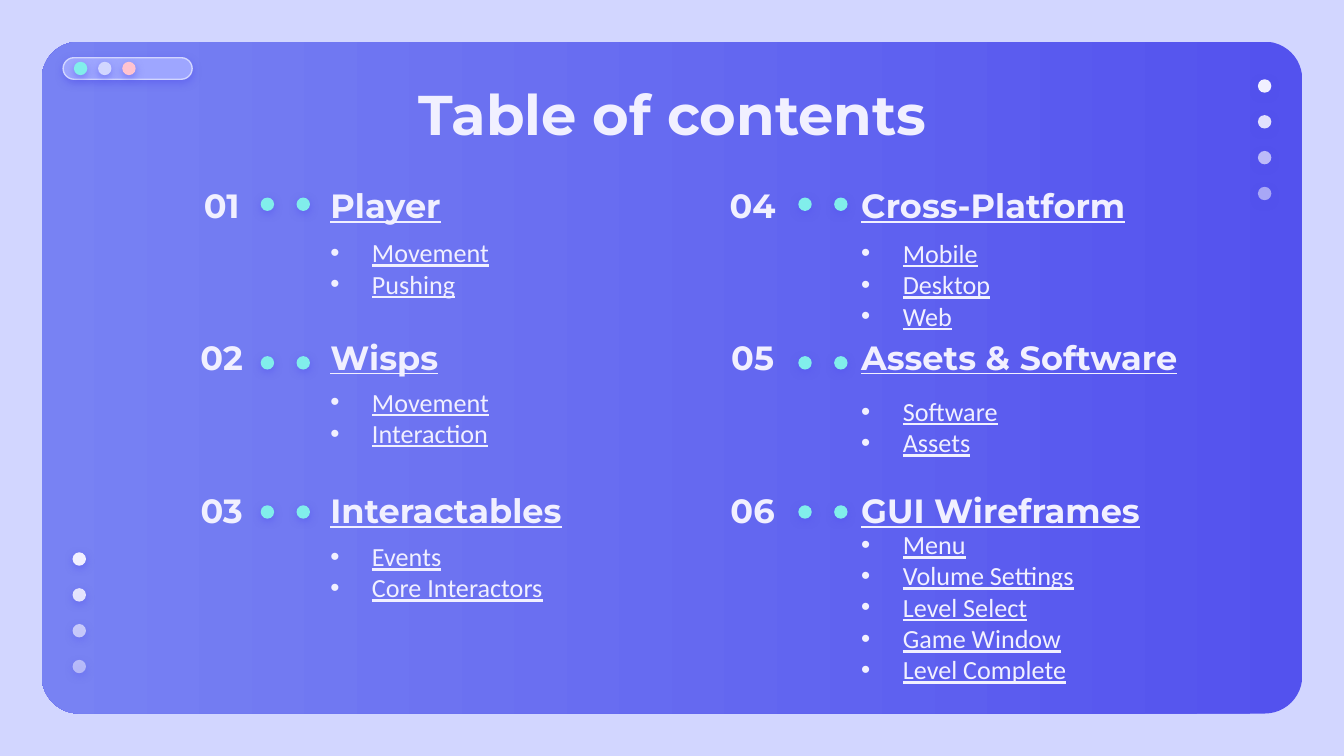
from lxml.etree import SubElement
from pptx import Presentation
from pptx.dml.color import RGBColor
from pptx.enum.shapes import MSO_SHAPE
from pptx.enum.text import MSO_ANCHOR, MSO_AUTO_SIZE, PP_ALIGN
from pptx.oxml.ns import qn
from pptx.util import Inches, Pt

HEX = {"back": "D2D6FF", "deep": "5352EE", "soft": "7882F3", "bar": "9EA6FF",
       "text": "F1F0FF", "mint": "81EEEB", "pink": "FFC3D0"}

# Column: left of number, first dot, heading; then its parts
COLS = [
    (1.17, 1.94, 2.36, [
        ("01", "Player", 1.73, ["Movement", "Pushing"]),
        ("02", "Wisps", 2.84, ["Movement", "Interaction"]),
        ("03", "Interactables", 3.99, ["Events", "Core Interactors"]),
    ]),
    (5.12, 5.94, 6.31, [
        ("04", "Cross-Platform", 1.85, ["Mobile", "Desktop", "Web"]),
        ("05", "Assets & Software", 2.91, ["Software", "Assets"]),
        ("06", "GUI Wireframes", 4.25,
         ["Menu", "Volume Settings", "Level Select", "Game Window",
          "Level Complete"]),
    ]),
]
ROWS = [(1.39, 1.47), (2.52, 2.65), (3.66, 3.76)]  # heading top, dot top
FADE = [100, 90, 67, 54]
DOT, STEP = 0.1, 0.8 / 3


def color(name):
    return RGBColor.from_string(HEX[name])


class Deck:
    head, body = "Montserrat", "Calibri"

    def __init__(self):
        self.prs = Presentation()
        self.prs.slide_width = Inches(10)
        self.prs.slide_height = Inches(10 * 9 / 16)
        self.slide = self.prs.slides.add_slide(self.prs.slide_layouts[5])
        fill = self.slide.background.fill
        fill.solid()
        fill.fore_color.rgb = color("back")

    def shape(self, kind, box, fill, line=None, alpha=100, glow=True):
        item = self.slide.shapes.add_shape(kind, *map(Inches, box))
        item.shadow.inherit = False
        item.fill.solid()
        item.fill.fore_color.rgb = color(fill)
        if alpha < 100:
            tint = item.fill._xPr.find(qn("a:solidFill"))[0]
            SubElement(tint, qn("a:alpha"), val=str(alpha * 1000))
        if line:
            item.line.color.rgb = color(line)
            item.line.width = Pt(0.75)
        else:
            item.line.fill.background()
        if glow:
            group = item._element.spPr.find(qn("a:effectLst"))
            shade = SubElement(group, qn("a:outerShdw"), blurRad=str(Pt(4.5)),
                               dist=str(Pt(1.5)), dir="5400000",
                               algn="bl", rotWithShape="0")
            tone = SubElement(shade, qn("a:srgbClr"), val=HEX["deep"])
            SubElement(tone, qn("a:alpha"), val="50000")
        return item

    def dot(self, left, top, fill, alpha=100):
        self.shape(MSO_SHAPE.OVAL, (left, top, DOT, DOT), fill, alpha=alpha)

    def frame(self, item, anchor):
        frame = item.text_frame
        frame.word_wrap = True
        frame.auto_size = MSO_AUTO_SIZE.NONE
        frame.vertical_anchor = anchor
        frame.margin_left = frame.margin_right = Inches(0.1)
        frame.margin_top = frame.margin_bottom = Inches(0.1)
        return frame

    def run(self, para, text, size, font, bold=False, under=False):
        run = para.add_run()
        run.text = text
        run.font.size, run.font.name = Pt(size), font
        run.font.bold, run.font.underline = bold, under
        run.font.color.rgb = color("text")

    def title(self, text, box):
        item = self.slide.shapes.title
        item.left, item.top, item.width, item.height = map(Inches, box)
        self.slide.shapes._spTree.append(item._element)  # bring to front
        para = self.frame(item, MSO_ANCHOR.TOP).paragraphs[0]
        para.alignment = PP_ALIGN.CENTER
        self.run(para, text, 30, self.head, bold=True)

    def label(self, text, box, align=PP_ALIGN.LEFT, under=False):
        item = self.slide.shapes.add_textbox(*map(Inches, box))
        para = self.frame(item, MSO_ANCHOR.MIDDLE).paragraphs[0]
        para.alignment = align
        self.run(para, text, 18, self.head, bold=True, under=under)

    def bullets(self, lines, box):
        item = self.slide.shapes.add_textbox(*map(Inches, box))
        frame = self.frame(item, MSO_ANCHOR.MIDDLE)
        for i, text in enumerate(lines):
            para = frame.add_paragraph() if i else frame.paragraphs[0]
            props = para._p.get_or_add_pPr()
            props.set("marL", str(Inches(0.31)))
            props.set("indent", str(Inches(-0.31)))
            tint = SubElement(props, qn("a:buClr"))
            SubElement(tint, qn("a:srgbClr"), val=HEX["text"])
            SubElement(props, qn("a:buFont"), typeface="Arial")
            SubElement(props, qn("a:buChar"), char="•")
            self.run(para, text, 14, self.body, under=True)


def main():
    deck = Deck()

    # Card
    card = deck.shape(MSO_SHAPE.ROUNDED_RECTANGLE, (0.31, 0.31, 9.38, 5),
                      "deep", glow=False)
    card.adjustments[0] = 0.056
    card.fill.gradient()
    card.fill.gradient_angle = 180
    for stop, name in zip(card.fill.gradient_stops, ("deep", "soft")):
        stop.color.rgb = color(name)

    # Window bar
    bar = deck.shape(MSO_SHAPE.ROUNDED_RECTANGLE, (0.47, 0.43, 0.96, 0.16),
                     "bar", line="back")
    bar.adjustments[0] = 0.5
    for i, name in enumerate(("mint", "back", "pink")):
        deck.dot(0.55 + 0.18 * i, 0.46, name)

    # Fading side dots
    for left, top in ((9.36, 0.59), (0.54, 4.11)):
        for i, alpha in enumerate(FADE):
            deck.dot(left, top + STEP * i, "text", alpha)

    deck.title("Table of contents", (0.79, 0.49, 8.43, 0.63))

    # Contents
    for num, dots, left, parts in COLS:
        for (top, mid), (no, name, low, lines) in zip(ROWS, parts):
            deck.label(no, (num, top, 0.96, 0.27), PP_ALIGN.CENTER)
            deck.label(name, (left, top, 2.57, 0.27), under=True)
            deck.bullets(lines, (left, low, 2.04, 0.53))
            for i in range(2):
                deck.dot(dots + STEP * i, mid, "mint")

    deck.prs.save("out.pptx")


if __name__ == "__main__":
    main()
